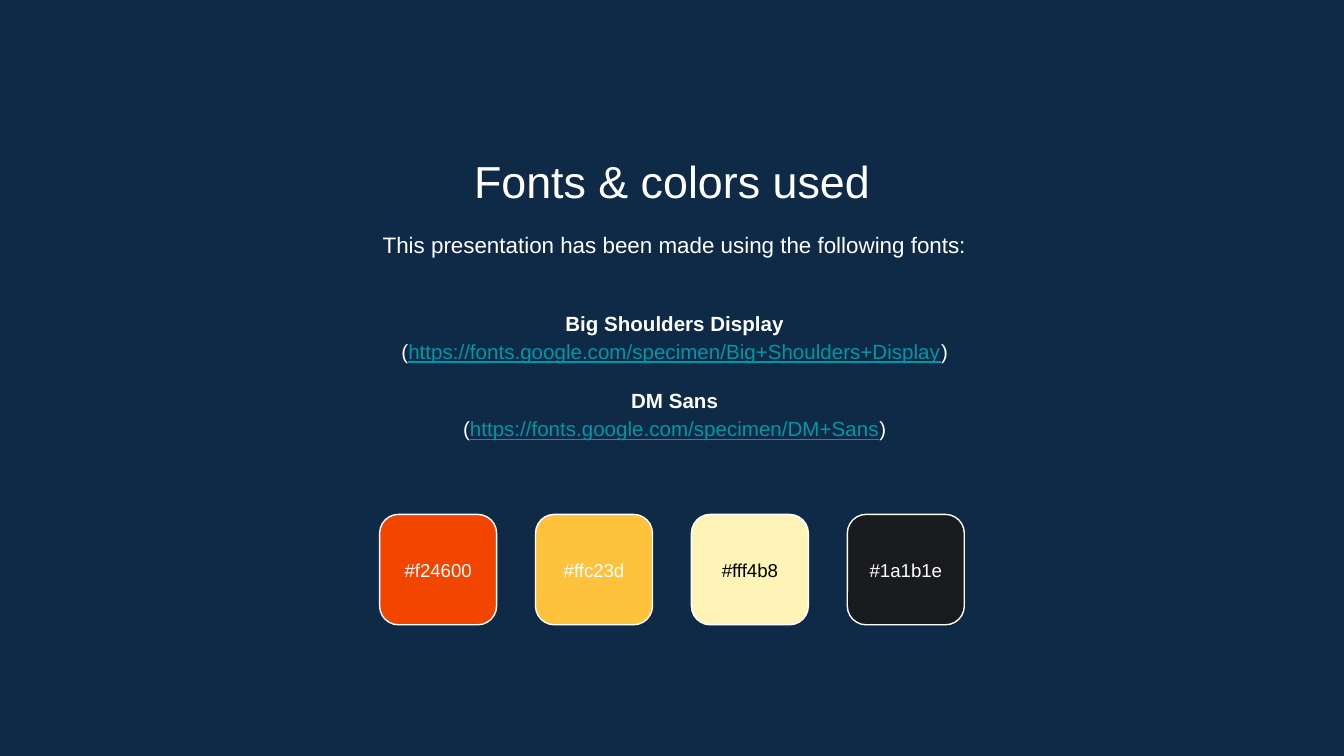
from pptx import Presentation, util as u
from pptx.dml.color import RGBColor
from pptx.enum import shapes, text

NAVY = RGBColor(0x0E, 0x2A, 0x47)
WHITE = RGBColor(0xFF, 0xFF, 0xFF)
BLACK = RGBColor(0x00, 0x00, 0x00)
TEAL = RGBColor(0x00, 0x97, 0xA7)
ORANGE = RGBColor(0xF2, 0x46, 0x00)
AMBER = RGBColor(0xFF, 0xC2, 0x3D)
CREAM = RGBColor(0xFF, 0xF4, 0xB8)
COAL = RGBColor(0x1A, 0x1B, 0x1E)


class Page:
    """One slide and its style; lengths are percent of the slide's size."""

    font = "Arial"
    inset = u.Inches(0.1)

    def __init__(self, deck):
        self.wide, self.high = deck.slide_width, deck.slide_height
        self.slide = deck.slides.add_slide(deck.slide_layouts[6])
        fill = self.slide.background.fill
        fill.solid()
        fill.fore_color.rgb = NAVY

    def place(self, x, y, w, h):
        return [round(part * full / 100) for part, full in
                zip((x, y, w, h), (self.wide, self.high) * 2)]

    def style(self, run, size, color=WHITE, bold=False, line=False):
        font = run.font
        font.name, font.size, font.bold = self.font, u.Pt(size), bold
        font.underline = line
        font.color.rgb = color

    def frame(self, box, middle=False):
        frame = self.slide.shapes.add_textbox(*self.place(*box)).text_frame
        frame.word_wrap = True
        frame.margin_left = frame.margin_right = self.inset
        frame.margin_top = frame.margin_bottom = self.inset
        anchor = text.MSO_ANCHOR
        frame.vertical_anchor = anchor.MIDDLE if middle else anchor.TOP
        return frame

    def center(self, para, space):
        para.alignment = text.PP_ALIGN.CENTER
        para.line_spacing = space

    def label(self, words, box, size, color=WHITE, middle=False, space=1.0):
        para = self.frame(box, middle).paragraphs[0]
        para.text = words
        self.center(para, space)
        self.style(para.runs[0], size, color)

    def sources(self, items, box, size, gap):
        """Font names in bold, each with its address below."""
        frame = self.frame(box, middle=True)
        for i, (name, link) in enumerate(items):
            head = frame.add_paragraph() if i else frame.paragraphs[0]
            head.text = name
            self.center(head, 1.15)
            self.style(head.runs[0], size, bold=True)
            if i:
                head.space_before = u.Pt(gap)
            line = frame.add_paragraph()
            self.center(line, 1.15)
            for part in ("(", link, ")"):
                run = line.add_run()
                run.text = part
                is_link = part == link
                self.style(run, size, TEAL if is_link else WHITE, line=is_link)

    def swatch(self, fill, box):
        kind = shapes.MSO_SHAPE.ROUNDED_RECTANGLE
        tile = self.slide.shapes.add_shape(kind, *self.place(*box))
        tile.shadow.inherit = False
        tile.adjustments[0] = 0.17
        tile.fill.solid()
        tile.fill.fore_color.rgb = fill
        tile.line.color.rgb = WHITE
        tile.line.width = u.Pt(0.75)


def main():
    deck = Presentation()
    deck.slide_width = u.Inches(10)
    deck.slide_height = deck.slide_width * 9 // 16
    page = Page(deck)

    # Heading and lead-in
    page.label("Fonts & colors used", (11.45, 18.5, 77.1, 9.4), 24)
    page.label("This presentation has been made using the following fonts:",
               (11.65, 28.3, 77.1, 8.5), 12, space=1.15)

    # Fonts and where to find them
    site = "https://fonts.google.com/specimen/"
    page.sources([("Big Shoulders Display", site + "Big+Shoulders+Display"),
                  ("DM Sans", site + "DM+Sans")],
                 (11.65, 37.3, 77.1, 24.4), 11, gap=11)

    # Row of color swatches with their codes
    left, step, wide = 28.25, 11.6, 8.7
    for i, fill in enumerate((ORANGE, AMBER, CREAM, COAL)):
        x = left + i * step
        page.swatch(fill, (x, 68.05, wide, 14.6))
        page.label(f"#{fill}".lower(), (x, 71.1, wide, 8.5), 10,
                   BLACK if fill == CREAM else WHITE, middle=True)

    deck.save("out.pptx")


if __name__ == "__main__":
    main()
